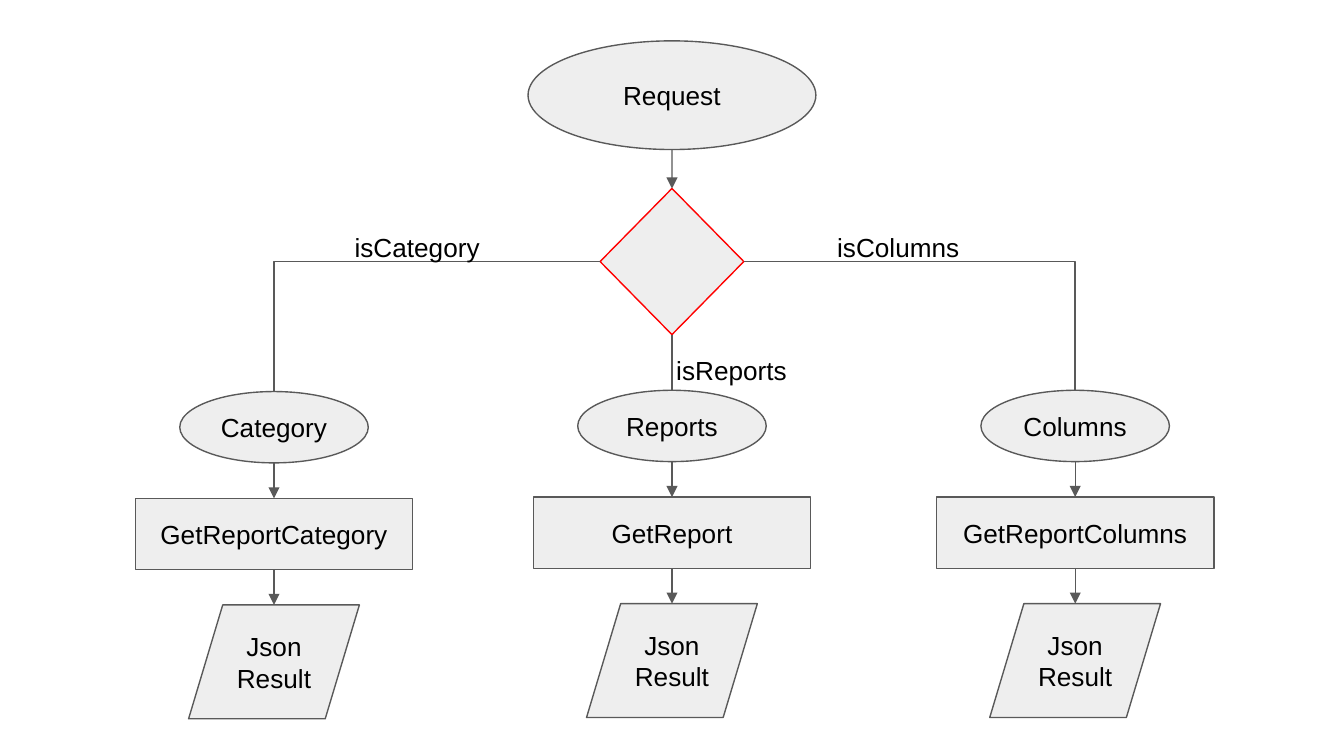
from lxml.etree import SubElement
from pptx import Presentation
from pptx.dml.color import RGBColor
from pptx.enum.shapes import MSO_CONNECTOR, MSO_SHAPE
from pptx.enum.text import MSO_ANCHOR, PP_ALIGN
from pptx.oxml.ns import qn
from pptx.util import Pt

# Content: centre, vertical shift, and the text of each step
BRANCHES = [
    (146.8, 0.7, "Category", "GetReportCategory"),
    (360, 0, "Reports", "GetReport"),
    (576, 0, "Columns", "GetReportColumns"),
]
RESULT = "Json Result"
LABELS = [
    ("isCategory", 182.9, 116.6),
    ("isColumns", 441.4, 116.6),
    ("isReports", 355.2, 182.7),
]

# Geometry: preset, top, width, height
REQUEST = (MSO_SHAPE.OVAL, 21.9, 154.2, 58.2)
DECISION = (MSO_SHAPE.FLOWCHART_DECISION, 101, 77, 78.3)
ENTRY = (MSO_SHAPE.OVAL, 209.1, 101, 38.2)
PROCESS = (MSO_SHAPE.FLOWCHART_PROCESS, 266.3, 148.5, 38.2)
OUTPUT = (MSO_SHAPE.FLOWCHART_DATA, 323.4, 91.5, 61)
CENTRE = 360
INSET = 7.2
TOP, LEFT, BOTTOM, RIGHT = range(4)
FILL, GREY, RED, BLACK = "EEEEEE", "595959", "FF0000", "000000"

presentation = Presentation()
presentation.slide_width, presentation.slide_height = Pt(720), Pt(405)
slide = presentation.slides.add_slide(presentation.slide_layouts[6])


def colour(value):
    return RGBColor.from_string(value)


def write(shape, text, alignment, anchor):
    frame = shape.text_frame
    frame.word_wrap = True
    frame.vertical_anchor = anchor
    frame.margin_left = frame.margin_right = Pt(INSET)
    frame.margin_top = frame.margin_bottom = Pt(INSET)
    paragraph = frame.paragraphs[0]
    paragraph.alignment = alignment
    run = paragraph.add_run()
    run.text = text
    run.font.name, run.font.size = "Arial", Pt(14)
    run.font.color.rgb = colour(BLACK)


def add_node(kind, centre, text="", shift=0, outline=GREY):
    preset, top, width, height = kind
    shape = slide.shapes.add_shape(
        preset, Pt(centre - width / 2), Pt(top + shift), Pt(width), Pt(height))
    shape.shadow.inherit = False
    shape.fill.solid()
    shape.fill.fore_color.rgb = colour(FILL)
    shape.line.color.rgb = colour(outline)
    shape.line.width = Pt(0.75)
    if text:
        write(shape, text, PP_ALIGN.CENTER, MSO_ANCHOR.MIDDLE)
    return shape


def side_point(shape, side):
    x = {LEFT: shape.left, RIGHT: shape.left + shape.width}.get(
        side, shape.left + shape.width // 2)
    y = {TOP: shape.top, BOTTOM: shape.top + shape.height}.get(
        side, shape.top + shape.height // 2)
    return x, y


def link(start, end, side=BOTTOM, arrow=True):
    bent = side in (LEFT, RIGHT)
    kind = MSO_CONNECTOR.ELBOW if bent else MSO_CONNECTOR.STRAIGHT
    connector = slide.shapes.add_connector(
        kind, *side_point(start, side), *side_point(end, TOP))
    # Ovals and parallelograms number their sites differently
    joinable = (MSO_SHAPE.FLOWCHART_PROCESS, MSO_SHAPE.FLOWCHART_DECISION)
    if start.auto_shape_type in joinable:
        connector.begin_connect(start, side)
    if end.auto_shape_type in joinable + (MSO_SHAPE.OVAL,):
        connector.end_connect(end, TOP)
    connector.line.color.rgb = colour(GREY)
    connector.line.width = Pt(0.75)
    properties = connector._element.spPr
    if bent:
        properties.find(qn("a:prstGeom")).set("prst", "bentConnector2")
    if arrow:
        SubElement(properties.find(qn("a:ln")), qn("a:tailEnd"), type="triangle")
    SubElement(properties, qn("a:effectLst"))


# Request and decision
request = add_node(REQUEST, CENTRE, "Request")
decision = add_node(DECISION, CENTRE, outline=RED)
link(request, decision)

# Three branches, each leaving its own side of the decision
for (centre, shift, entry_text, process_text), side in zip(
        BRANCHES, (LEFT, BOTTOM, RIGHT)):
    entry = add_node(ENTRY, centre, entry_text, shift)
    process = add_node(PROCESS, centre, process_text, shift)
    output = add_node(OUTPUT, centre, RESULT, shift)
    link(entry, process)
    link(process, output)
    link(decision, entry, side, arrow=False)

# Branch conditions
for text, left, top in LABELS:
    box = slide.shapes.add_textbox(Pt(left), Pt(top), Pt(91.4), Pt(23))
    write(box, text, PP_ALIGN.LEFT, MSO_ANCHOR.TOP)

presentation.save("out.pptx")
